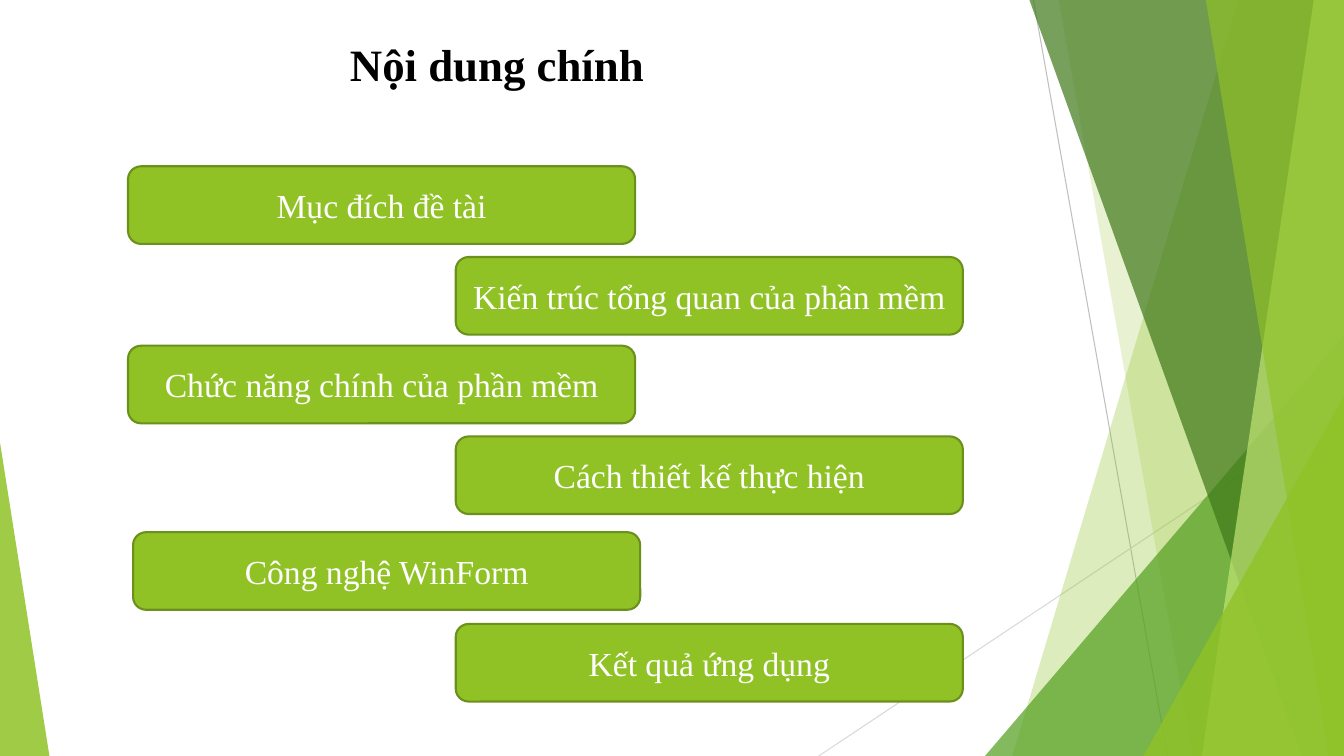
from dataclasses import dataclass

from lxml.etree import SubElement
from pptx import Presentation
from pptx.dml.color import RGBColor
from pptx.enum.shapes import MSO_CONNECTOR as LINE, MSO_SHAPE as SHAPE
from pptx.enum.text import MSO_ANCHOR as ANCHOR, PP_ALIGN as ALIGN
from pptx.oxml.ns import qn
from pptx.util import Inches, Pt

# Content: each topic with its column, left nudge and top
TITLE = "Nội dung chính"
TOPICS = [
    ("Mục đích đề tài", 0, 0, 1.65),
    ("Kiến trúc tổng quan của phần mềm", 1, 0, 2.55),
    ("Chức năng chính của phần mềm", 0, 0, 3.43),
    ("Cách thiết kế thực hiện", 1, 0, 4.33),
    ("Công nghệ WinForm", 0, 0.05, 5.28),
    ("Kết quả ứng dụng", 1, 0, 6.19),
]


@dataclass(frozen=True)
class Theme:
    font: str = "Times New Roman"
    title_size: int = 32
    topic_size: int = 24
    black: str = "000000"
    white: str = "FFFFFF"
    lime: str = "90C226"
    lime_edge: str = "6B901C"
    pale: str = "C0E474"
    green: str = "54A021"
    dark: str = "3F7819"


T = Theme()
W, H = 13.33, 7.5
COLUMNS = (1.27, 4.52)
BOX_W, BOX_H = 5.03, 0.77

# Decoration, back to front
RAYS = [((10.25, 0), (11.58, H), "BFBFBF"), ((W, 4.03), (8.12, H), "D9D9D9")]
# Bands run to the right edge: top x, bottom x, colour, opacity %
# Peaks stand on the bottom edge: left, width, height, apex share, colour, opacity %
FACETS = [
    ("band", 12.28, 10.04, T.lime, 30),
    ("band", 10.5, 11.83, T.lime, 20),
    ("peak", 9.77, 3.56, 4.17, 1, T.green, 72),
    ("band", 10.21, 12.91, T.dark, 70),
    ("band", 13.03, 11.92, T.pale, 70),
    ("band", 11.96, 13.18, T.lime, 65),
    ("peak", 11.34, 1.99, 3.57, 1, T.lime, 80),
    ("peak", 0, 0.49, 3.11, 0, T.lime, 85),
]

prs = Presentation()
prs.slide_width, prs.slide_height = Inches(W), Inches(H)
s = prs.slides.add_slide(prs.slide_layouts[6])


def rgb(color):
    return RGBColor.from_string(color)


def paint(sp, color, opacity=100, edge=None):
    sp.shadow.inherit = False
    sp.fill.solid()
    sp.fill.fore_color.rgb = rgb(color)
    if opacity < 100:
        clr = sp.fill._xPr.find(qn("a:solidFill"))[0]
        SubElement(clr, qn("a:alpha"), val=str(opacity * 1000))
    if edge:
        sp.line.color.rgb = rgb(edge)
        sp.line.width = Pt(1.5)
    else:
        sp.line.fill.background()


def write(sp, text, size, color, bold=False, anchor=ANCHOR.MIDDLE):
    tf = sp.text_frame
    tf.word_wrap = True
    tf.vertical_anchor = anchor
    p = tf.paragraphs[0]
    p.alignment = ALIGN.CENTER
    r = p.add_run()
    r.text = text
    r.font.name, r.font.size, r.font.bold = T.font, Pt(size), bold
    r.font.color.rgb = rgb(color)


def add_ray(start, end, color):
    ray = s.shapes.add_connector(LINE.STRAIGHT, *map(Inches, start + end))
    ray.line.color.rgb = rgb(color)
    ray.line.width = Pt(0.75)
    SubElement(ray._element.spPr, qn("a:effectLst"))


def add_band(top_x, bottom_x, color, opacity):
    points = [(Inches(x), Inches(y)) for x, y in
              [(top_x, 0), (W, 0), (W, H), (bottom_x, H)]]
    fb = s.shapes.build_freeform(*points[0])
    fb.add_line_segments(points[1:], close=True)
    paint(fb.convert_to_shape(), color, opacity)


def add_peak(left, width, height, apex, color, opacity):
    sp = s.shapes.add_shape(SHAPE.ISOSCELES_TRIANGLE,
                            *map(Inches, (left, H - height, width, height)))
    sp.adjustments[0] = apex
    paint(sp, color, opacity)


# Background facets
for ray in RAYS:
    add_ray(*ray)
for kind, *facet in FACETS:
    (add_band if kind == "band" else add_peak)(*facet)

# Title
title = s.shapes.add_textbox(*map(Inches, (1.83, 0.32, 6.2, 0.64)))
write(title, TITLE, T.title_size, T.black, bold=True, anchor=ANCHOR.TOP)

# Topic boxes, alternating between the two columns
for text, column, nudge, top in TOPICS:
    box = s.shapes.add_shape(
        SHAPE.ROUNDED_RECTANGLE,
        *map(Inches, (COLUMNS[column] + nudge, top, BOX_W, BOX_H)))
    paint(box, T.lime, edge=T.lime_edge)
    write(box, text, T.topic_size, T.white)

prs.save("out.pptx")
